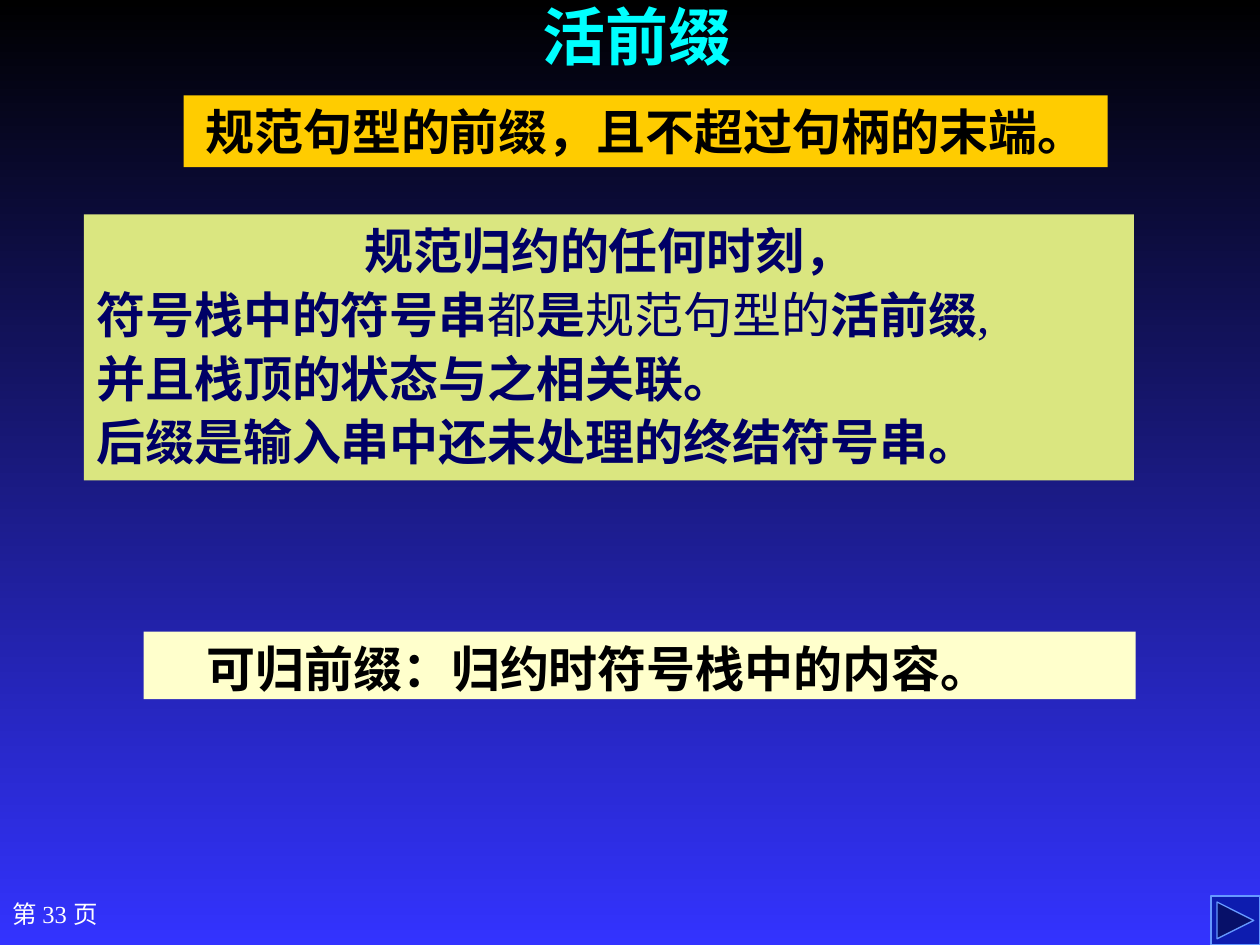
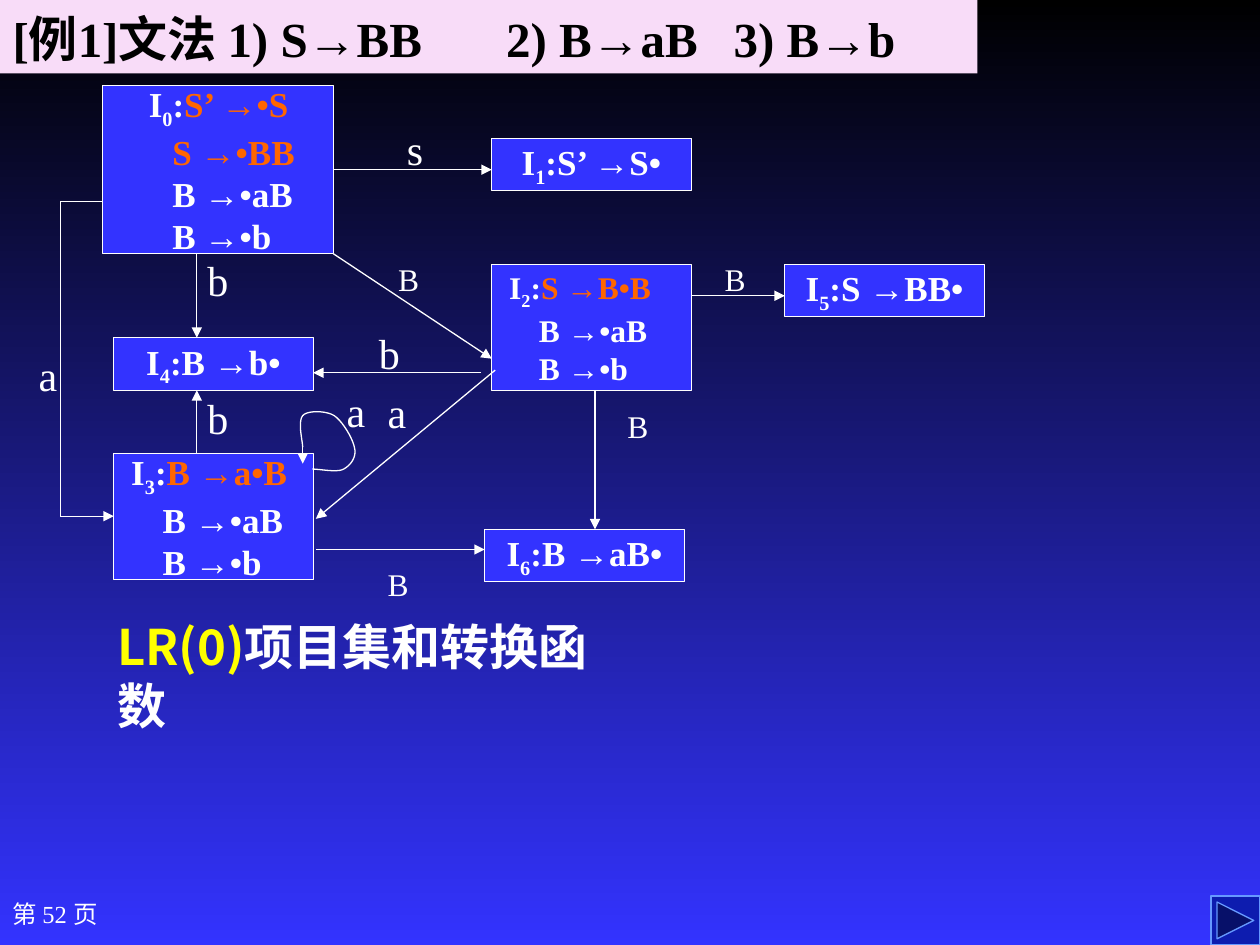
import pptx
import pptx.dml.color
import pptx.enum.shapes
import pptx.enum.text
import pptx.oxml
import pptx.oxml.ns
import pptx.util
from lxml import etree

Pt = pptx.util.Pt
qn = pptx.oxml.ns.qn
SHAPE = pptx.enum.shapes.MSO_SHAPE
ALIGN = pptx.enum.text.PP_ALIGN
ANCHOR = pptx.enum.text.MSO_ANCHOR

COLOURS = {
    "black": "000000", "white": "FFFFFF", "blue": "3333FF", "cyan": "00FFFF",
    "gold": "FFCC00", "lime": "DAE680", "navy": "000066", "cream": "FFFFCC",
    "pink": "F8DCF8", "orange": "FF6600", "yellow": "FFFF00",
    "button": "0D1CAF", "button edge": "6699FF",
}
SERIF, SANS = "Times New Roman", "Noto Sans CJK SC"
INSETS = (7.2, 3.6, 7.2, 3.6)

# Slide 33: each line is a list of spans (text, changes to the line's font)
PREFIX_TITLE = "活前缀"
PREFIX_RULE = "规范句型的前缀，且不超过句柄的末端。"
REDUCTION_LINES = [
    [("规范归约的任何时刻，", {})],
    [("符号栈中的符号串", {}), ("都", {"bold": False}), ("是", {}),
     ("规范句型的", {"bold": False}), ("活前缀", {}), (",", {"bold": False})],
    [("并且栈顶的状态与之相关联。", {})],
    [("后缀是输入串中还未处理的终结符号串。", {})],
]
REDUCIBLE_PREFIX = "可归前缀：归约时符号栈中的内容。"

# Slide 52
GRAMMAR = "[例1]文法 1) S→BB\t2) B→aB\t3) B→b"
GRAMMAR_TABS = (282, 412)
CAPTION = [("LR(0)", {"colour": "yellow"}), ("项目集和转换函数", {})]
# number: (frame, text size, kernel item, closure items, indents of both)
ITEM_SETS = {
    0: ((58.5, 49, 132, 96), 20, "S’ →•S",
        [("S →•BB", "orange"), ("B →•aB", "white"), ("B →•b", "white")], (26.5, 40)),
    1: ((281, 79, 114, 30), 20, "S’ →S•", [], None),
    2: ((281, 151, 114, 72), 18, "S →B•B",
        [("B →•aB", "white"), ("B →•b", "white")], (10, 27)),
    5: ((448.5, 151, 114, 30), 20, "S →BB•", [], None),
    3: ((65, 259, 114, 72), 20, "B →a•B",
        [("B →•aB", "white"), ("B →•b", "white")], (10, 28)),
    4: ((65, 193, 114, 30), 20, "B →b•", [], None),
    6: ((277, 302.5, 114, 30), 20, "B →aB•", [], None),
}
# (points along the way, set and side joined at the start, same at the end)
TRANSITIONS = [
    ([(190.5, 97), (281, 97)], (0, 3), None),
    ([(190.5, 145), (281, 205)], None, None),
    ([(395, 169), (448.5, 169)], None, None),
    ([(283, 211.5), (180.5, 296.5)], None, None),
    ([(275, 213), (179, 213)], None, None),
    ([(112.5, 145), (112.5, 193)], None, None),
    ([(112.5, 259), (112.5, 223)], None, None),
    ([(180.5, 314), (277, 314)], None, None),
    ([(340, 223), (340, 302.5)], None, None),
    ([(58.5, 115), (34.5, 115), (34.5, 295), (65, 295)], None, (3, 1)),
    ([(173, 252.5), (173, 265)], None, None),
]
# (symbol, left, top, text size)
SYMBOLS = [
    ("s", 225.5, 67, 24), ("B", 220.5, 145, 18), ("B", 407, 145, 18),
    ("a", 214.5, 217.5, 24), ("b", 209.5, 183.5, 24), ("b", 111.5, 142, 24),
    ("b", 111.5, 220.5, 24), ("B", 214.5, 319.5, 18), ("B", 351.5, 229, 18),
    ("a", 15, 196, 24), ("a", 191, 216.5, 24),
]
# Bezier curves of the self loop: start, then two controls and an end each
LOOP_START = (178.5, 268)
LOOP_CURVES = [
    ((186, 268.5), (193, 270), (196.5, 268)),
    ((201, 265.5), (204, 260.5), (202.5, 255.5)),
    ((201.5, 250.5), (196, 241), (191, 237.5)),
    ((186, 234.5), (175.5, 234.5), (173, 237.5)),
    ((170, 241), (173, 252.5), (173, 255.5)),
]


def rgb(name):
    return pptx.dml.color.RGBColor.from_string(COLOURS[name])


def write(box, lines, size, colour, font=SERIF, bold=False, align=ALIGN.LEFT,
          anchor=ANCHOR.TOP, insets=INSETS, spacing=None, before=0, indent=0, tabs=()):
    """Fill a box with lines, each a string or a list of (text, changes)."""
    frame = box.text_frame
    frame.word_wrap = True
    frame.auto_size = pptx.enum.text.MSO_AUTO_SIZE.NONE
    frame.vertical_anchor = anchor
    (frame.margin_left, frame.margin_top,
     frame.margin_right, frame.margin_bottom) = map(Pt, insets)
    for number, line in enumerate(lines):
        para = frame.add_paragraph() if number else frame.paragraphs[0]
        properties = para._p.get_or_add_pPr()
        if indent:
            properties.set("marL", str(Pt(indent)))
        if tabs:
            stops = etree.SubElement(properties, qn("a:tabLst"))
            for tab in tabs:
                etree.SubElement(stops, qn("a:tab"), pos=str(Pt(tab)), algn="l")
        para.alignment = align
        para.space_before = Pt(before if number else 0)
        if spacing:
            para.line_spacing = spacing
        para.font.name, para.font.size, para.font.bold = font, Pt(size), bold
        para.font.color.rgb = rgb(colour)
        etree.SubElement(properties.find(qn("a:defRPr")), qn("a:ea"), typeface=SANS)
        for text, changes in [(line, {})] if isinstance(line, str) else line:
            span = para.add_run()
            span.text = text
            if "bold" in changes:
                span.font.bold = changes["bold"]
            if "colour" in changes:
                span.font.color.rgb = rgb(changes["colour"])
            if "baseline" in changes:
                span._r.get_or_add_rPr().set("baseline", str(changes["baseline"]))


def add_box(page, frame, fill, edge=None, kind=SHAPE.RECTANGLE):
    box = page.shapes.add_shape(kind, *map(Pt, frame))
    box.shadow.inherit = False
    box.fill.solid()
    box.fill.fore_color.rgb = rgb(fill)
    if edge:
        box.line.color.rgb = rgb(edge)
        box.line.width = Pt(0.75)
    else:
        box.line.fill.background()
    return box


def add_text(page, frame, lines, size, colour, **style):
    write(page.shapes.add_textbox(*map(Pt, frame)), lines, size, colour, **style)


def add_page(deck, number, title_frame):
    """Add a page with its number and forward button; return it and its title."""
    page = deck.slides.add_slide(deck.slide_layouts.get_by_name("Title Only"))
    title = page.shapes.title
    title.left, title.top, title.width, title.height = map(Pt, title_frame)
    add_text(page, (0, 504, 100, 36), [f"第 {number} 页"], 14, "white",
             anchor=ANCHOR.MIDDLE)
    add_box(page, (692, 512, 28, 28), "button", "button edge",
            SHAPE.ACTION_BUTTON_FORWARD_OR_NEXT)
    return page, title


def add_item_set(page, number, frame, size, kernel, closure, indents):
    box = add_box(page, frame, "blue", "white")
    kernel_colour = "orange" if closure else "white"
    lines = [[("I", {}), (str(number), {"baseline": -25000}), (":", {}),
              (kernel, {"colour": kernel_colour})]]
    lines += [[(item, {"colour": colour})] for item, colour in closure]
    write(box, lines, size, "white", bold=True, anchor=ANCHOR.MIDDLE,
          insets=(0, 0, 0, 0), align=ALIGN.LEFT if indents else ALIGN.CENTER)
    if indents:
        for row, para in enumerate(box.text_frame.paragraphs):
            para._p.get_or_add_pPr().set("marL", str(Pt(indents[min(row, 1)])))
    return box


def add_transition(page, points, start, end, boxes):
    """Draw straight lines through the points, with an arrowhead on the last."""
    for begin, finish in zip(points, points[1:]):
        line = page.shapes.add_connector(
            pptx.enum.shapes.MSO_CONNECTOR.STRAIGHT, *map(Pt, begin + finish))
        line.line.color.rgb = rgb("white")
        line.line.width = Pt(0.75)
        etree.SubElement(line._element.spPr, qn("a:effectLst"))
        if start and begin == points[0]:
            line.begin_connect(boxes[start[0]], start[1])
        if end and finish == points[-1]:
            line.end_connect(boxes[end[0]], end[1])
    etree.SubElement(line.line._get_or_add_ln(), qn("a:tailEnd"), type="triangle")


def add_loop(page, steps=10):
    points, begin = [], LOOP_START
    for first, second, finish in LOOP_CURVES:
        for step in range(1, steps + 1):
            t = step / steps
            u = 1 - t
            points.append(tuple(
                Pt(u**3 * a + 3 * u * u * t * b + 3 * u * t * t * c + t**3 * d)
                for a, b, c, d in zip(begin, first, second, finish)))
        begin = finish
    builder = page.shapes.build_freeform(*map(Pt, LOOP_START))
    builder.add_line_segments(points, close=False)
    loop = builder.convert_to_shape()
    loop.shadow.inherit = False
    loop.fill.background()
    loop.line.color.rgb = rgb("white")
    loop.line.width = Pt(0.75)


def build_prefix_page(deck):
    page, title = add_page(deck, 33, (303, 0, 162, 46))
    write(title, [PREFIX_TITLE], 36, "cyan", font=SANS, bold=True, spacing=0.9)
    rule = add_box(page, (105, 54.5, 528, 41), "gold")
    write(rule, [PREFIX_RULE], 28, "black", font=SANS, bold=True, align=ALIGN.CENTER)
    reduction = add_box(page, (48, 122.5, 600, 152), "lime")
    write(reduction, REDUCTION_LINES, 28, "navy", bold=True, before=2.8)
    reduction.text_frame.paragraphs[0].alignment = ALIGN.CENTER
    reducible = add_box(page, (82, 361, 567, 38.5), "cream")
    write(reducible, [REDUCIBLE_PREFIX], 28, "black", font=SANS, bold=True,
          insets=(0, 0.7, 2.9, 0.7), spacing=1.1, indent=36)


def build_item_set_page(deck):
    page, title = add_page(deck, 52, (0, 0, 558.5, 42))
    title.fill.solid()
    title.fill.fore_color.rgb = rgb("pink")
    write(title, [GRAMMAR], 28, "black", bold=True, anchor=ANCHOR.BOTTOM,
          spacing=0.85, tabs=GRAMMAR_TABS)
    boxes = {number: add_item_set(page, number, *parts)
             for number, parts in ITEM_SETS.items()}
    for points, start, end in TRANSITIONS:
        add_transition(page, points, start, end, boxes)
    add_loop(page)
    for symbol, left, top, size in SYMBOLS:
        add_text(page, (left, top, 30, size * 1.5), [symbol], size, "white")
    add_text(page, (60, 349, 310, 41), [CAPTION], 28, "white", font=SANS, bold=True)


def main():
    deck = pptx.Presentation()
    deck.slide_width, deck.slide_height = Pt(720), Pt(540)
    backdrop = deck.slide_master.background.fill
    backdrop.gradient()
    backdrop.gradient_angle = 270
    for stop, colour in zip(backdrop.gradient_stops, ("black", "blue")):
        stop.color.rgb = rgb(colour)
    build_prefix_page(deck)
    build_item_set_page(deck)
    deck.save("out.pptx")


if __name__ == "__main__":
    main()
